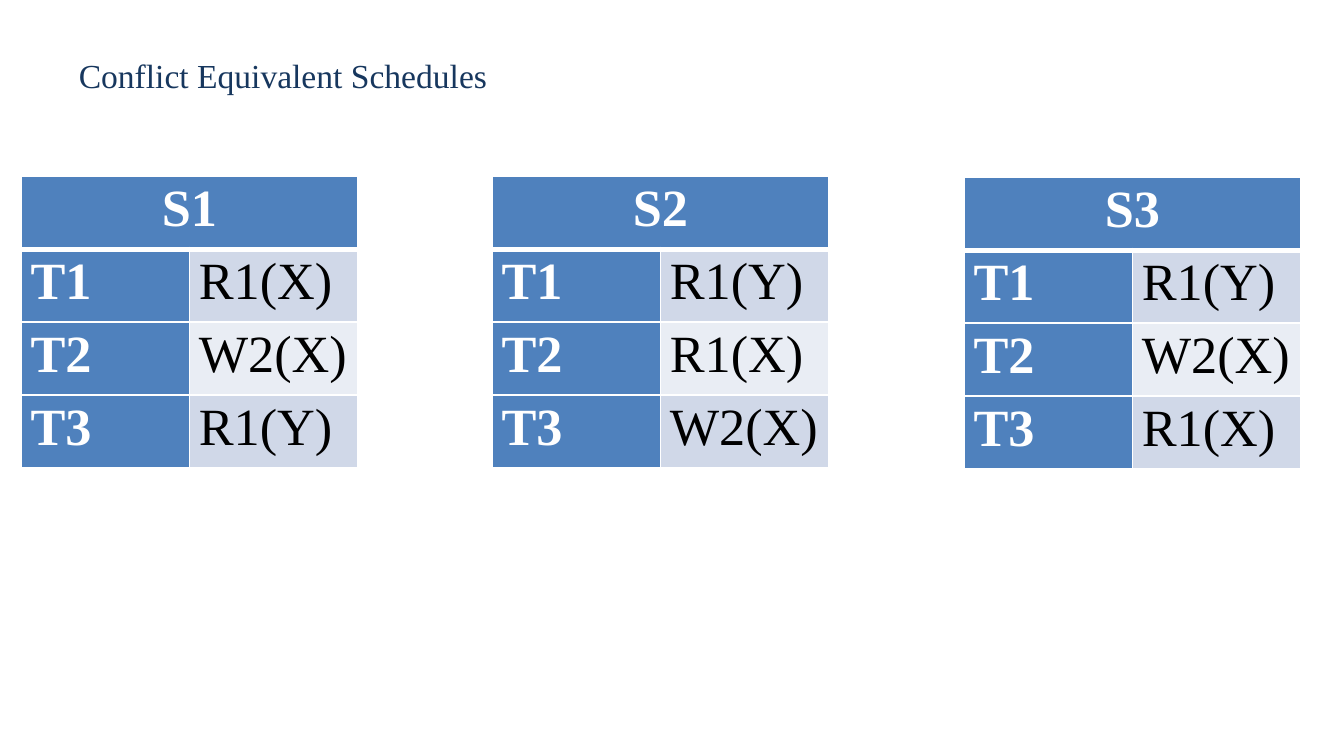
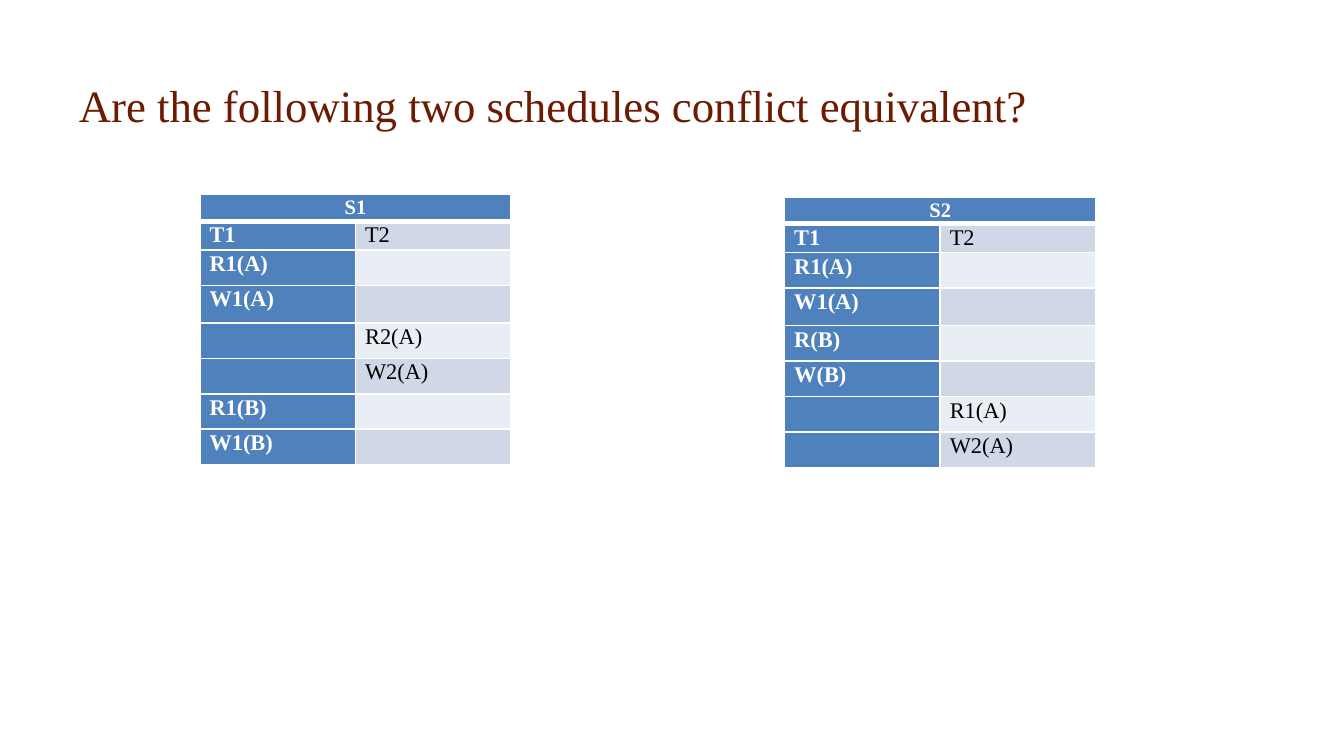
from dataclasses import dataclass

from lxml.etree import SubElement
from pptx import Presentation
from pptx.dml.color import RGBColor
from pptx.enum.text import MSO_ANCHOR as Anchor, PP_ALIGN as Align
from pptx.oxml.ns import qn
from pptx.util import Cm, Pt

COLOURS = {
    "brown": "6C1A00",
    "navy": "17375E",
    "head": "4F81BD",
    "odd": "D0D8E8",
    "even": "E9EDF4",
    "white": "FFFFFF",
    "black": "000000",
}
FONT = "Times New Roman"
CELL_MARGINS = {
    "margin_left": Cm(0.18),
    "margin_right": Cm(0.18),
    "margin_top": 0,
    "margin_bottom": 0,
}
TITLE_FRAME = {"word_wrap": True, "margin_bottom": 0, "margin_top": 0}
CELL_PARA = {"line_spacing": 1.07, "space_after": Pt(8)}


@dataclass
class Title:
    text: str
    size: int
    colour: str
    anchor: Anchor


@dataclass
class Schedule:
    name: str
    left: float
    top: float
    rows: list[tuple[str, str]]


@dataclass
class Grid:
    column: float
    heights: list[float]
    head_size: int
    body_size: int


def apply(target, values: dict) -> None:
    for name, value in values.items():
        setattr(target, name, value)


def colour_of(name: str) -> RGBColor:
    return RGBColor.from_string(COLOURS[name])


def add_span(para, text: str, size: int, colour: str, bold: bool = False) -> None:
    span = para.add_run()
    span.text = text
    apply(span.font, {"name": FONT, "size": Pt(size), "bold": bold})
    span.font.color.rgb = colour_of(colour)


def add_title(page, title: Title) -> None:
    box = page.shapes.add_textbox(Cm(1.24), Cm(0.36), Cm(22.91), Cm(2.13))
    frame = box.text_frame
    apply(frame, TITLE_FRAME | {"vertical_anchor": title.anchor})
    add_span(frame.paragraphs[0], title.text, title.size, title.colour)


def add_borders(cell, widths: dict[str, int]) -> None:
    properties = cell._tc.get_or_add_tcPr()
    for side, width in widths.items():
        line = SubElement(properties, qn(f"a:ln{side}"), w=str(Pt(width)))
        fill = SubElement(line, qn("a:solidFill"))
        SubElement(fill, qn("a:srgbClr"), val=COLOURS["white"])


def fill_cell(cell, row: int, column: int, text: str, size: int) -> None:
    heading = row == 0 or column == 0
    add_borders(cell, {"L": 1, "R": 1, "T": 3 if row == 1 else 1, "B": 3 if row == 0 else 1})
    cell.fill.solid()
    cell.fill.fore_color.rgb = colour_of("head" if heading else "odd" if row % 2 else "even")
    apply(cell, CELL_MARGINS)
    para = cell.text_frame.paragraphs[0]
    apply(para, CELL_PARA | {"alignment": Align.CENTER if row == 0 else Align.LEFT})
    if text:
        add_span(para, text, size, "white" if heading else "black", heading)
    else:
        SubElement(para._p, qn("a:endParaRPr"), sz=str(size * 100))


def add_schedule(page, schedule: Schedule, grid: Grid) -> None:
    rows = [(schedule.name, ""), *schedule.rows]
    table = page.shapes.add_table(
        len(rows), 2, Cm(schedule.left), Cm(schedule.top),
        Cm(2 * grid.column), Cm(sum(grid.heights)),
    ).table
    apply(table, {"first_row": False, "horz_banding": False})
    for column in table.columns:
        column.width = Cm(grid.column)
    for index, (texts, height) in enumerate(zip(rows, grid.heights)):
        table.rows[index].height = Cm(height)
        size = grid.body_size if index else grid.head_size
        for column, text in enumerate(texts):
            fill_cell(table.cell(index, column), index, column, text, size)
    table.cell(0, 0).merge(table.cell(0, 1))


def transactions(*steps: str) -> list[tuple[str, str]]:
    return [(f"T{number}", step) for number, step in enumerate(steps, 1)]


def add_page(deck, title: Title, schedules: list[Schedule], grid: Grid) -> None:
    page = deck.slides.add_slide(deck.slide_layouts[6])
    add_title(page, title)
    for schedule in schedules:
        add_schedule(page, schedule, grid)


deck = Presentation()
apply(deck, {"slide_width": Cm(25.4), "slide_height": Cm(14.29)})

add_page(
    deck,
    Title("Conflict Equivalent Schedules", 18, "navy", Anchor.MIDDLE),
    [
        Schedule("S1", 0.4, 3.33, transactions("R1(X)", "W2(X)", "R1(Y)")),
        Schedule("S2", 9.3, 3.33, transactions("R1(Y)", "R1(X)", "W2(X)")),
        Schedule("S3", 18.22, 3.35, transactions("R1(Y)", "W2(X)", "R1(X)")),
    ],
    Grid(3.18, [1.38] * 4, 28, 28),
)

add_page(
    deck,
    Title("Are the following two schedules conflict equivalent?", 24, "brown", Anchor.BOTTOM),
    [
        Schedule("S1", 3.78, 3.68, [
            ("T1", "T2"), ("R1(A)", ""), ("W1(A)", ""), ("", "R2(A)"),
            ("", "W2(A)"), ("R1(B)", ""), ("W1(B)", ""),
        ]),
        Schedule("S2", 14.83, 3.73, [
            ("T1", "T2"), ("R1(A)", ""), ("W1(A)", ""), ("R(B)", ""),
            ("W(B)", ""), ("", "R1(A)"), ("", "W2(A)"),
        ]),
    ],
    Grid(2.94, [0.46, 0.51, 0.67, 0.71] + [0.67] * 4, 11, 12),
)

deck.save("out.pptx")
